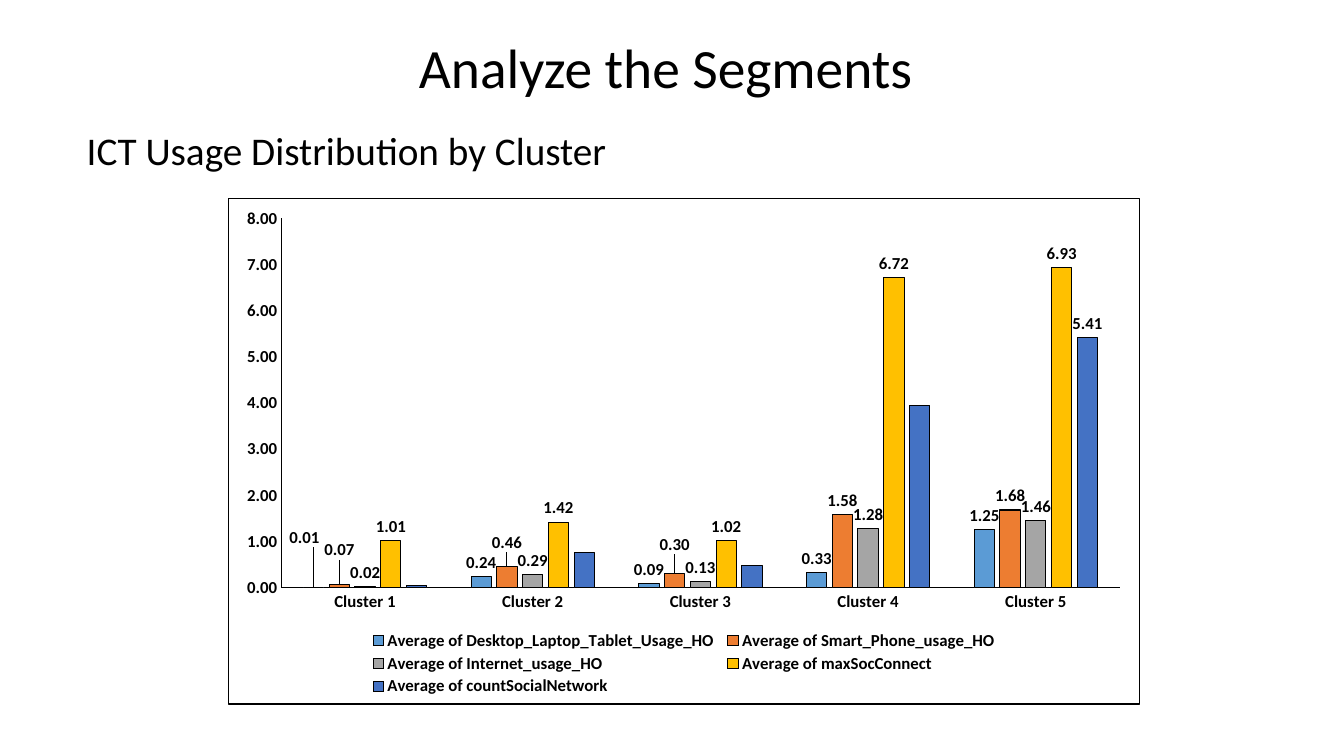
from lxml import etree
from pptx import Presentation
from pptx.chart.data import CategoryChartData
from pptx.dml.color import RGBColor
from pptx.enum.chart import (XL_CHART_TYPE, XL_LABEL_POSITION,
                             XL_LEGEND_POSITION, XL_TICK_MARK)
from pptx.enum.text import MSO_ANCHOR, MSO_AUTO_SIZE, PP_ALIGN
from pptx.oxml import parse_xml
from pptx.oxml.ns import nsdecls, qn
from pptx.util import Inches, Pt

CLUSTERED = XL_CHART_TYPE.COLUMN_CLUSTERED
OUTSIDE_END = XL_LABEL_POSITION.OUTSIDE_END
LEGEND_BOTTOM = XL_LEGEND_POSITION.BOTTOM
NO_TICK = XL_TICK_MARK.NONE
LEFT, CENTER = PP_ALIGN.LEFT, PP_ALIGN.CENTER
TOP, MIDDLE = MSO_ANCHOR.TOP, MSO_ANCHOR.MIDDLE
NO_AUTOFIT = MSO_AUTO_SIZE.NONE

COLORS = {
    "ink": "000000",
    "desktop": "5B9BD5",
    "smartphone": "ED7D31",
    "internet": "A5A5A5",
    "connections": "FFC000",
    "networks": "4472C4",
}
FONT = "Calibri"
LINE_WIDTH = Pt(0.75)
TWO_DECIMALS = "0.00"

CLUSTERS = [f"Cluster {number}" for number in range(1, 6)]
# Name, colour, averages per cluster
USAGE = [
    ("Average of Desktop_Laptop_Tablet_Usage_HO", "desktop", (0.01, 0.24, 0.09, 0.33, 1.25)),
    ("Average of Smart_Phone_usage_HO", "smartphone", (0.07, 0.46, 0.3, 1.58, 1.68)),
    ("Average of Internet_usage_HO", "internet", (0.02, 0.29, 0.13, 1.28, 1.46)),
    ("Average of maxSocConnect", "connections", (1.01, 1.42, 1.02, 6.72, 6.93)),
    ("Average of countSocialNetwork", "networks", (0.05, 0.77, 0.48, 3.95, 5.41)),
]
# (series, cluster): label shift as fractions of the chart's width and height
LABEL_SHIFTS = {
    (0, 0): (-0.01, -0.07),
    (1, 0): (0, -0.04),
    (1, 1): (0, -0.02),
    (1, 2): (0, -0.03),
}
NETWORKS_SERIES, LABELLED_CLUSTER = 4, 4


def color(name):
    return RGBColor.from_string(COLORS[name])


def format_font(font, size, bold=False):
    values = {"name": FONT, "size": Pt(size), "bold": bold}
    for attribute, value in values.items():
        setattr(font, attribute, value)
    font.color.rgb = color("ink")


def format_line(line):
    line.color.rgb = color("ink")
    line.width = LINE_WIDTH


def fill_placeholder(placeholder, text, box, size, align, anchor):
    for attribute, value in zip(("left", "top", "width", "height"), box):
        setattr(placeholder, attribute, Inches(value))
    frame = placeholder.text_frame
    frame.text = text
    frame.auto_size = NO_AUTOFIT
    frame.vertical_anchor = anchor
    paragraph = frame.paragraphs[0]
    paragraph.alignment = align
    paragraph.line_spacing = 0.9
    format_font(paragraph.runs[0].font, size)
    return paragraph


def remove_bullet(paragraph):
    properties = paragraph._p.get_or_add_pPr()
    properties.set("marL", "0")
    properties.set("indent", "0")
    etree.SubElement(properties, qn("a:buNone"))


def manual_layout(**values):
    """Return a c:layout element; the keywords keep the schema's order."""
    settings = "".join(f'<c:{name} val="{value}"/>' for name, value in values.items())
    return parse_xml(f'<c:layout {nsdecls("c")}><c:manualLayout>{settings}'
                     '</c:manualLayout></c:layout>')


def replace_layout(parent, predecessor, layout):
    """Put the layout after the predecessor, or first if there is none."""
    for old in parent.findall(qn("c:layout")):
        parent.remove(old)
    if predecessor is None:
        parent.insert(0, layout)
    else:
        predecessor.addnext(layout)


def add_border(chart):
    chart_element = chart._chartSpace.find(qn("c:chart"))
    chart_element.addnext(parse_xml(
        f'<c:spPr {nsdecls("c", "a")}><a:noFill/><a:ln w="{LINE_WIDTH}"><a:solidFill>'
        f'<a:srgbClr val="{COLORS["ink"]}"/></a:solidFill></a:ln></c:spPr>'))


def format_axis(axis):
    values = {"major_tick_mark": NO_TICK, "minor_tick_mark": NO_TICK,
              "has_major_gridlines": False}
    for attribute, value in values.items():
        setattr(axis, attribute, value)
    format_line(axis.format.line)
    format_font(axis.tick_labels.font, 12, bold=True)


def label_point(series, cluster, shift=None):
    label = series.points[cluster].data_label
    format_font(label.font, 12, bold=True)
    label.position = OUTSIDE_END
    if shift:
        element = series._element.xpath(f'c:dLbls/c:dLbl[c:idx/@val="{cluster}"]')[0]
        replace_layout(element, element.find(qn("c:idx")),
                       manual_layout(x=shift[0], y=shift[1]))


def format_series(series, fill):
    series.format.fill.solid()
    series.format.fill.fore_color.rgb = color(fill)
    format_line(series.format.line)
    series.invert_if_negative = False


def label_series(series, shown):
    labels = series.data_labels
    labels.show_value = shown
    if shown:
        labels.number_format = TWO_DECIMALS
        labels.number_format_is_linked = False
        labels.position = OUTSIDE_END
        format_font(labels.font, 12, bold=True)


def add_usage_chart(slide):
    data = CategoryChartData(number_format=TWO_DECIMALS)
    data.categories = CLUSTERS
    for name, _, averages in USAGE:
        data.add_series(name, averages)
    chart = slide.shapes.add_chart(CLUSTERED, Inches(2.26), Inches(1.96),
                                   Inches(9.05), Inches(5.03), data).chart
    chart.has_title = False
    format_font(chart.font, 10)
    add_border(chart)

    plot = chart.plots[0]
    plot.gap_width, plot.overlap = 219, -27
    plot.vary_by_categories = False
    for index, (series, (_, fill, _)) in enumerate(zip(plot.series, USAGE)):
        format_series(series, fill)
        label_series(series, index != NETWORKS_SERIES)
    for (index, cluster), shift in LABEL_SHIFTS.items():
        label_point(plot.series[index], cluster, shift)
    label_point(plot.series[NETWORKS_SERIES], LABELLED_CLUSTER)

    format_axis(chart.category_axis)
    averages_axis = chart.value_axis
    format_axis(averages_axis)
    averages_axis.minimum_scale, averages_axis.maximum_scale = 0, 8
    averages_axis.major_unit = 1
    averages_axis.tick_labels.number_format = TWO_DECIMALS
    averages_axis.tick_labels.number_format_is_linked = False

    chart.has_legend = True
    legend = chart.legend
    legend.position = LEGEND_BOTTOM
    legend.include_in_layout = False
    format_font(legend.font, 12, bold=True)
    legend_element = legend._element
    replace_layout(legend_element, legend_element.find(qn("c:legendPos")),
                   manual_layout(xMode="edge", yMode="edge", x=0.15, y=0.85, w=0.7, h=0.14))
    plot_area = chart._chartSpace.find(qn("c:chart")).find(qn("c:plotArea"))
    replace_layout(plot_area, None,
                   manual_layout(layoutTarget="inner", xMode="edge", yMode="edge",
                                 x=0.058, y=0.04, w=0.92, h=0.73))


def main():
    deck = Presentation()
    deck.slide_width, deck.slide_height = Inches(13.33), Inches(7.5)
    slide = deck.slides.add_slide(deck.slide_layouts[1])
    fill_placeholder(slide.shapes.title, "Analyze the Segments ",
                     (0.92, 0.4, 11.49, 0.6), 39.6, CENTER, MIDDLE)
    subtitle = fill_placeholder(slide.placeholders[1], "ICT Usage Distribution by Cluster",
                                (0.76, 1.26, 12.44, 6.1), 28, LEFT, TOP)
    subtitle.space_before = Pt(10)
    remove_bullet(subtitle)
    add_usage_chart(slide)
    deck.save("out.pptx")


if __name__ == "__main__":
    main()
